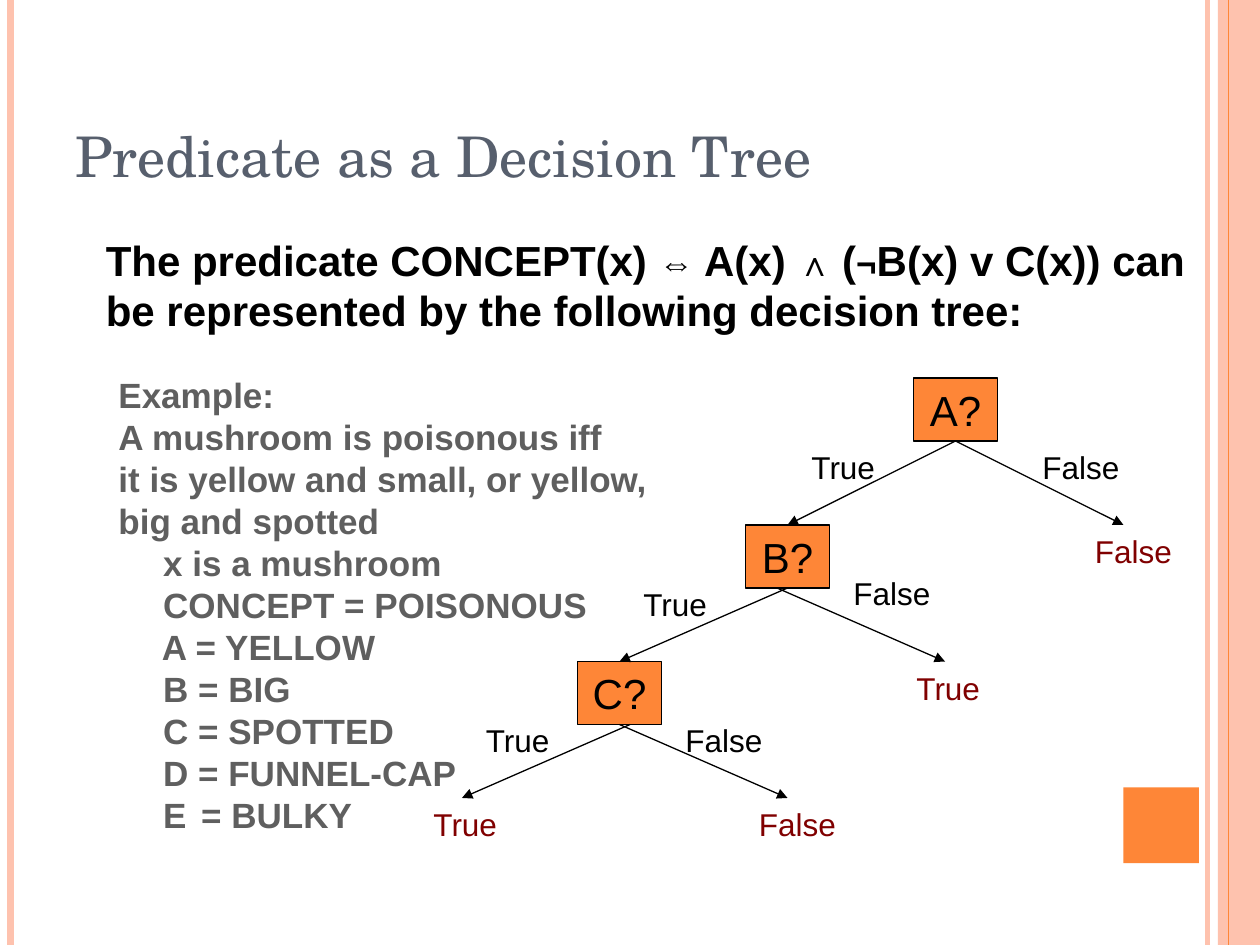
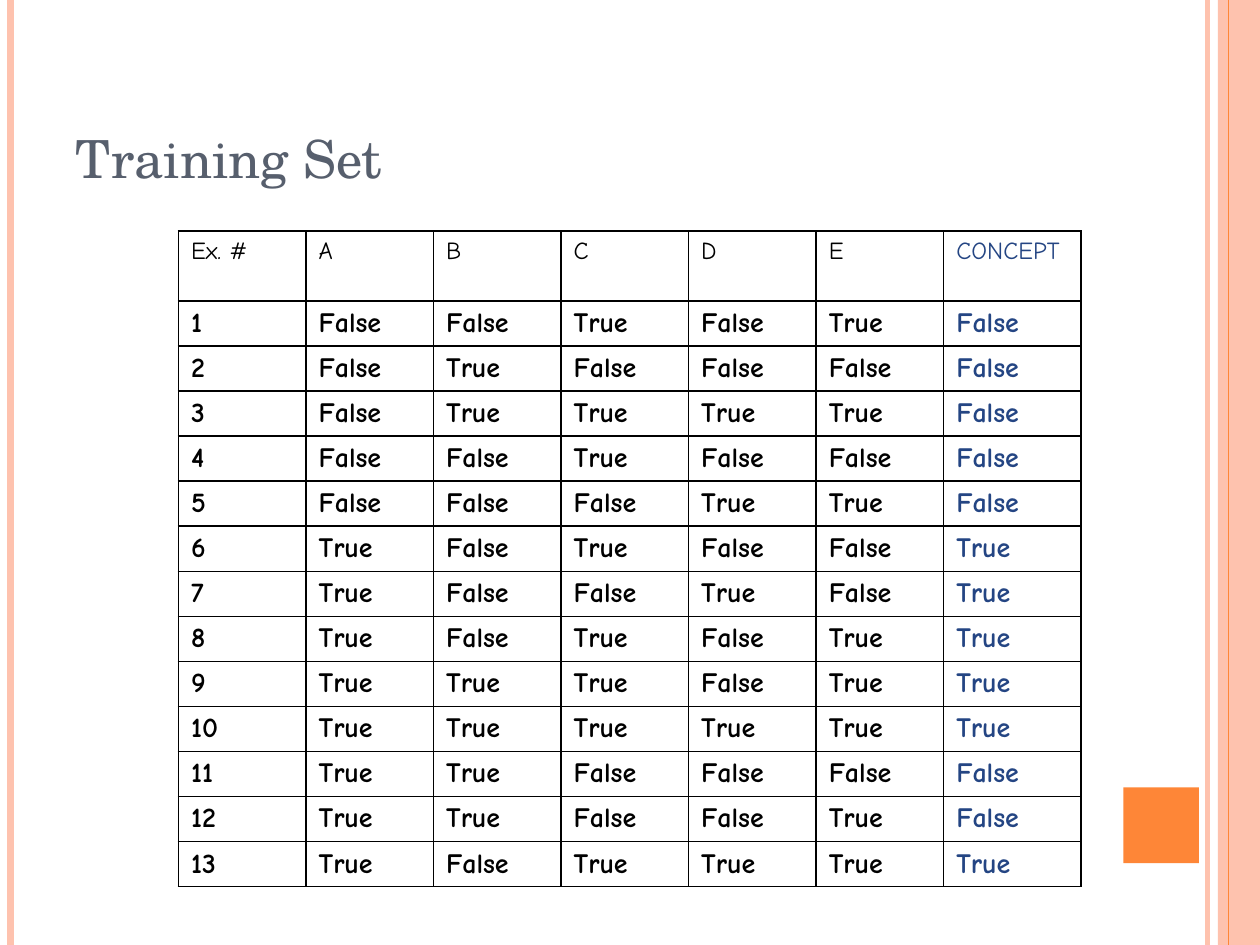
"""Build two slides on a predicate, its decision tree and its training set."""
from typing import Any, NamedTuple, Optional

from lxml.etree import SubElement
from pptx import Presentation
from pptx.dml.color import RGBColor
from pptx.enum.shapes import MSO_CONNECTOR, MSO_SHAPE
from pptx.enum.text import MSO_ANCHOR as Anchor, PP_ALIGN as Align
from pptx.oxml.ns import qn
from pptx.util import Emu, Inches, Pt

WIDTH, HEIGHT = Inches(10), Inches(7.5)
COLUMN, ROW = WIDTH / 120, HEIGHT / 90

ORANGE = RGBColor(0xFE, 0x86, 0x37)
PEACH = RGBColor(0xFE, 0xC2, 0xAE)
SLATE = RGBColor(0x57, 0x5F, 0x6D)
GREY = RGBColor(0x5F, 0x5F, 0x5F)
BLACK = RGBColor(0, 0, 0)
MAROON = RGBColor(0x80, 0, 0)
BLUE = RGBColor(0x24, 0x45, 0x83)

TITLE_FONT, BODY_FONT, TABLE_FONT = "TeX Gyre Schola", "Arial", "Comic Neue"
SYMBOL_FONT, CLOCK = "Wingdings", "·"
BOTTOM, TOP = 2, 0


class Style(NamedTuple):
    font: str
    size: float
    color: RGBColor
    bold: bool = False


class Piece(NamedTuple):
    text: str
    size: Optional[float] = None


class Line(NamedTuple):
    pieces: list[Piece]
    bullet: str = ""


class Box(NamedTuple):
    left: float
    top: float
    width: float
    height: float


class Node(NamedTuple):
    text: str
    column: float
    row: float


class Branch(NamedTuple):
    start: tuple[float, float]
    end: tuple[float, float]
    parent: str = ""
    child: str = ""


class Label(NamedTuple):
    text: str
    column: float
    row: float
    color: RGBColor = BLACK


class Stripe(NamedTuple):
    column: float
    color: RGBColor
    weight: float


LABEL_WIDTHS = {"True": 8.8, "False": 9.9}
NODE_WIDTH, NODE_HEIGHT = 8, 6
PREDICATE_STYLE = Style(BODY_FONT, 24, BLACK, True)
EXAMPLE_STYLE = Style(BODY_FONT, 20, GREY, True)
NODE_STYLE = Style(BODY_FONT, 24, BLACK)

LEFT_STRIPES = [Stripe(115, PEACH, 3), Stripe(1, PEACH, 4.5)]
RIGHT_STRIPE = Stripe(117, ORANGE, 0.75)
RIGHT_BAND = Box(116, 0, 4, 90)
CORNER_SQUARE = Box(107, 75, 7.2, 7.2)
TITLE_BOX = Box(6, 3.6, 98, 15)

PREDICATE = [
    Line([Piece("The predicate CONCEPT(x) "), Piece("⇔", 20), Piece(" A(x) "),
          Piece("∧ ", 20), Piece("("), Piece("¬", 20), Piece("B(x) v C(x)) can")]),
    Line([Piece("be represented by the following decision tree:")]),
]
MEANINGS = ["x is a mushroom", "CONCEPT = POISONOUS", "A = YELLOW", "B = BIG",
            "C = SPOTTED", "D = FUNNEL-CAP"]
EXAMPLE = [
    Line([Piece("Example:\nA mushroom is poisonous iff\n"
                "it is yellow and small, or yellow,")]),
    Line([Piece("big and spotted")]),
    *[Line([Piece(f" {meaning}")], CLOCK) for meaning in MEANINGS],
    Line([Piece(" E "), Piece(" ", 10), Piece("= BULKY")], CLOCK),
]

NODES = [Node("A?", 87, 36), Node("B?", 71, 50), Node("C?", 55, 63)]
BRANCHES = [
    Branch((91, 42), (75, 50), "A?", "B?"),
    Branch((75, 56), (59, 63), "B?", "C?"),
    Branch((74, 56), (90, 63)),
    Branch((91, 42), (107, 50), "A?"),
    Branch((60, 69), (44, 76)),
    Branch((59, 69), (75, 76), "C?"),
]
LABELS = [
    Label("True", 45, 68), Label("True", 60, 55), Label("True", 76, 42),
    Label("False", 64, 68), Label("False", 80, 54), Label("False", 98, 42),
    Label("True", 86, 63, MAROON), Label("False", 71, 76, MAROON),
    Label("True", 40, 76, MAROON), Label("False", 103, 50, MAROON),
]

TABLE_HEADER = ["Ex. #", "A", "B", "C", "D", "E", "CONCEPT"]
TRAINING_SET = ["FFTFTF", "FTFFFF", "FTTTTF", "FFTFFF", "FFFTTF", "TFTFFT", "TFFTFT",
                "TFTFTT", "TTTFTT", "TTTTTT", "TTFFFF", "TTFFTF", "TFTTTT"]
TRUTH = {"T": "True", "F": "False"}
TABLE_BOX = Box(17, 22, 86, 62.44)
TABLE_COLUMNS = [12.15] * 6 + [13.1]
TABLE_ROWS = [6.67] + [4.29] * len(TRAINING_SET)


def across(columns: float) -> Emu:
    """Convert grid columns to a length."""
    return Emu(round(columns * COLUMN))


def down(rows: float) -> Emu:
    """Convert grid rows to a length."""
    return Emu(round(rows * ROW))


def place(box: Box) -> tuple[Emu, Emu, Emu, Emu]:
    """Convert a grid box to left, top, width and height."""
    return across(box.left), down(box.top), across(box.width), down(box.height)


def assign(target: Any, values: dict[str, Any]) -> None:
    """Set every named attribute of the target."""
    for name, value in values.items():
        setattr(target, name, value)


def add_run(paragraph: Any, text: str, style: Style) -> None:
    """Append one formatted run."""
    run = paragraph.add_run()
    run.text = text
    assign(run.font, {"name": style.font, "size": Pt(style.size), "bold": style.bold})
    run.font.color.rgb = style.color


def add_bullet(paragraph: Any, symbol: str) -> None:
    """Give a paragraph a bullet from the symbol font."""
    properties = paragraph._p.get_or_add_pPr()
    for name in ("marL", "indent"):
        properties.set(name, "0")
    SubElement(properties, qn("a:buFont"), typeface=SYMBOL_FONT, pitchFamily="2", charset="2")
    SubElement(properties, qn("a:buChar"), char=symbol)


def write_lines(frame: Any, lines: list[Line], style: Style) -> None:
    """Fill a text frame with paragraphs."""
    for index, line in enumerate(lines):
        paragraph = frame.add_paragraph() if index else frame.paragraphs[0]
        if line.bullet:
            add_bullet(paragraph, line.bullet)
        for piece in line.pieces:
            for part_index, part in enumerate(piece.text.split("\n")):
                if part_index:
                    paragraph.add_line_break()
                add_run(paragraph, part, style._replace(size=piece.size or style.size))


def add_text(slide: Any, box: Box, lines: list[Line], style: Style,
             wrap: bool = False, anchor: Anchor = Anchor.TOP) -> None:
    """Add a text box."""
    frame = slide.shapes.add_textbox(*place(box)).text_frame
    assign(frame, {"word_wrap": wrap, "vertical_anchor": anchor})
    write_lines(frame, lines, style)


def add_rectangle(slide: Any, box: Box, color: RGBColor) -> Any:
    """Add a flat rectangle without outline."""
    shape = slide.shapes.add_shape(MSO_SHAPE.RECTANGLE, *place(box))
    shape.shadow.inherit = False
    shape.fill.solid()
    shape.fill.fore_color.rgb = color
    shape.line.fill.background()
    return shape


def add_line(slide: Any, start: tuple[float, float], end: tuple[float, float],
             color: RGBColor, weight: float) -> Any:
    """Add a straight line between two grid points."""
    connector = slide.shapes.add_connector(
        MSO_CONNECTOR.STRAIGHT, across(start[0]), down(start[1]), across(end[0]), down(end[1]))
    connector.line.color.rgb = color
    connector.line.width = Pt(weight)
    SubElement(connector._element.spPr, qn("a:effectLst"))
    return connector


def add_stripe(slide: Any, stripe: Stripe) -> None:
    """Add a vertical stripe over the full height."""
    add_line(slide, (stripe.column, 0), (stripe.column, 90), stripe.color, stripe.weight)


def add_titled_slide(presentation: Any, title: str, size: float) -> Any:
    """Add a slide with the shared stripes, square and title."""
    slide = presentation.slides.add_slide(presentation.slide_layouts[6])
    for stripe in LEFT_STRIPES:
        add_stripe(slide, stripe)
    add_rectangle(slide, RIGHT_BAND, PEACH)
    add_stripe(slide, RIGHT_STRIPE)
    add_rectangle(slide, CORNER_SQUARE, ORANGE)
    add_text(slide, TITLE_BOX, [Line([Piece(title)])], Style(TITLE_FONT, size, SLATE),
             True, Anchor.BOTTOM)
    return slide


def add_node(slide: Any, node: Node) -> Any:
    """Add a question box of the tree."""
    shape = add_rectangle(slide, Box(node.column, node.row, NODE_WIDTH, NODE_HEIGHT), ORANGE)
    shape.line.color.rgb = BLACK
    shape.line.width = Pt(0.75)
    frame = shape.text_frame
    assign(frame, {"word_wrap": False, "vertical_anchor": Anchor.MIDDLE})
    write_lines(frame, [Line([Piece(node.text)])], NODE_STYLE)
    frame.paragraphs[0].alignment = Align.CENTER
    return shape


def add_branch(slide: Any, branch: Branch, nodes: dict[str, Any]) -> None:
    """Add an arrow, joined to the nodes it touches."""
    connector = add_line(slide, branch.start, branch.end, BLACK, 0.75)
    if branch.parent:
        connector.begin_connect(nodes[branch.parent], BOTTOM)
    if branch.child:
        connector.end_connect(nodes[branch.child], TOP)
    SubElement(connector._element.spPr.get_or_add_ln(), qn("a:tailEnd"), type="triangle")


def add_cell_borders(cell: Any) -> None:
    """Draw thin black borders on all sides of a cell."""
    properties = cell._tc.get_or_add_tcPr()
    for side in ("lnL", "lnR", "lnT", "lnB"):
        border = SubElement(properties, qn(f"a:{side}"), w=str(Pt(1)))
        fill = SubElement(border, qn("a:solidFill"))
        SubElement(fill, qn("a:srgbClr"), val=str(BLACK))


def add_training_table(slide: Any) -> None:
    """Add the table of examples."""
    rows = [TABLE_HEADER] + [[str(number), *(TRUTH[value] for value in values)]
                             for number, values in enumerate(TRAINING_SET, 1)]
    table = slide.shapes.add_table(len(rows), len(TABLE_HEADER), *place(TABLE_BOX)).table
    assign(table, {"first_row": False, "horz_banding": False})
    for column, width in zip(table.columns, TABLE_COLUMNS):
        column.width = across(width)
    for row, height in zip(table.rows, TABLE_ROWS):
        row.height = down(height)
    for row_index, texts in enumerate(rows):
        for column_index, text in enumerate(texts):
            cell = table.cell(row_index, column_index)
            add_cell_borders(cell)
            cell.fill.background()
            cell.margin_bottom = down(0.3)
            color = BLUE if column_index == len(texts) - 1 else BLACK
            style = Style(TABLE_FONT, 16 if row_index else 14, color, row_index > 0)
            add_run(cell.text_frame.paragraphs[0], text, style)


def build_tree_slide(presentation: Any) -> None:
    """Build the decision tree slide."""
    slide = add_titled_slide(presentation, "Predicate as a Decision Tree", 32)
    add_text(slide, Box(8.9, 21.7, 106.3, 10.8), PREDICATE, PREDICATE_STYLE)
    nodes = {node.text: add_node(slide, node) for node in NODES}
    for branch in BRANCHES:
        add_branch(slide, branch, nodes)
    for label in LABELS:
        box = Box(label.column + 0.1, label.row + 0.1, LABEL_WIDTHS[label.text], 4.8)
        add_text(slide, box, [Line([Piece(label.text)])], Style(BODY_FONT, 18, label.color))
    add_text(slide, Box(10.1, 35, 53.5, 45.2), EXAMPLE, EXAMPLE_STYLE)


def main() -> None:
    """Build and save the presentation."""
    presentation = Presentation()
    assign(presentation, {"slide_width": WIDTH, "slide_height": HEIGHT})
    build_tree_slide(presentation)
    add_training_table(add_titled_slide(presentation, "Training Set", 30))
    presentation.save("out.pptx")


if __name__ == "__main__":
    main()
